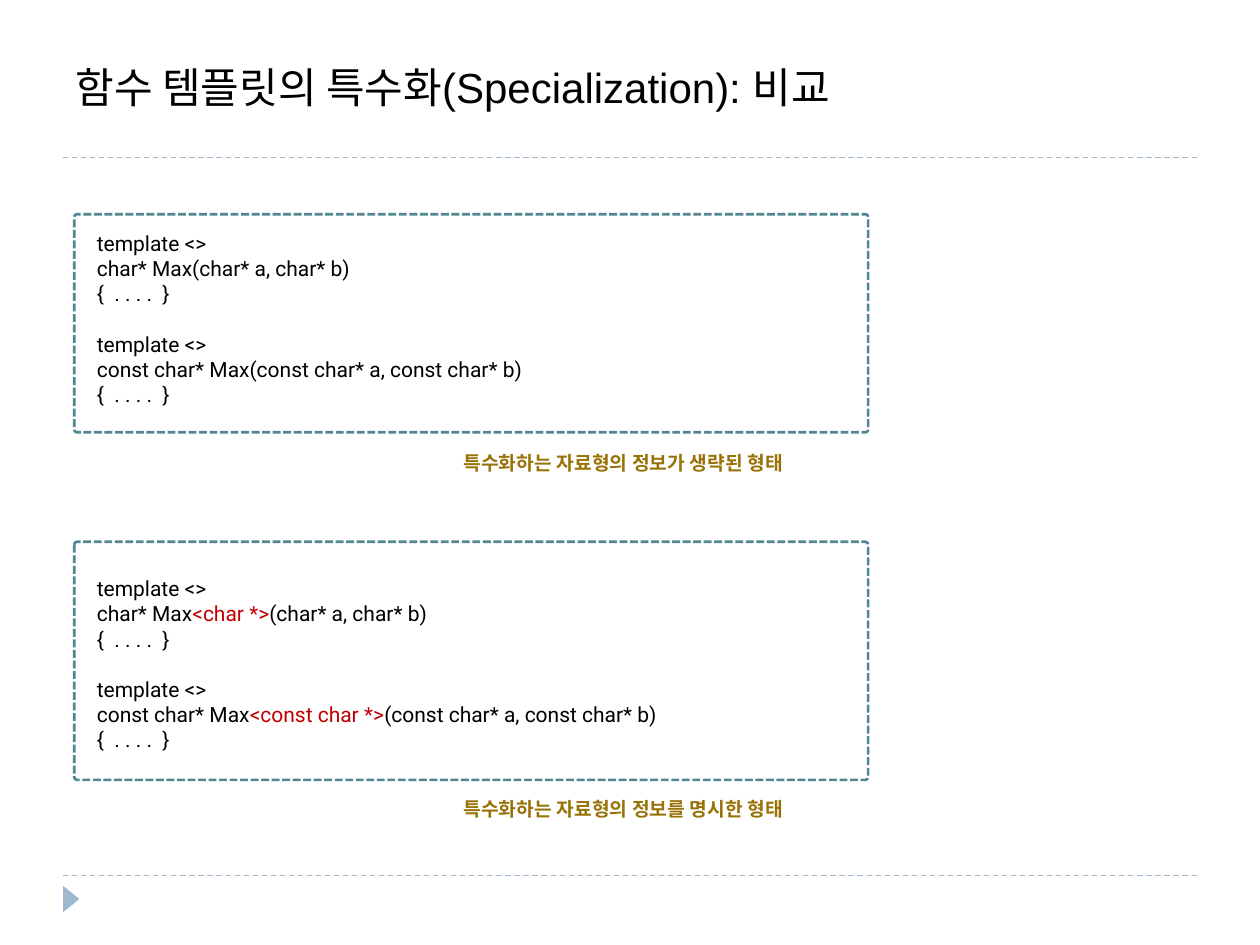
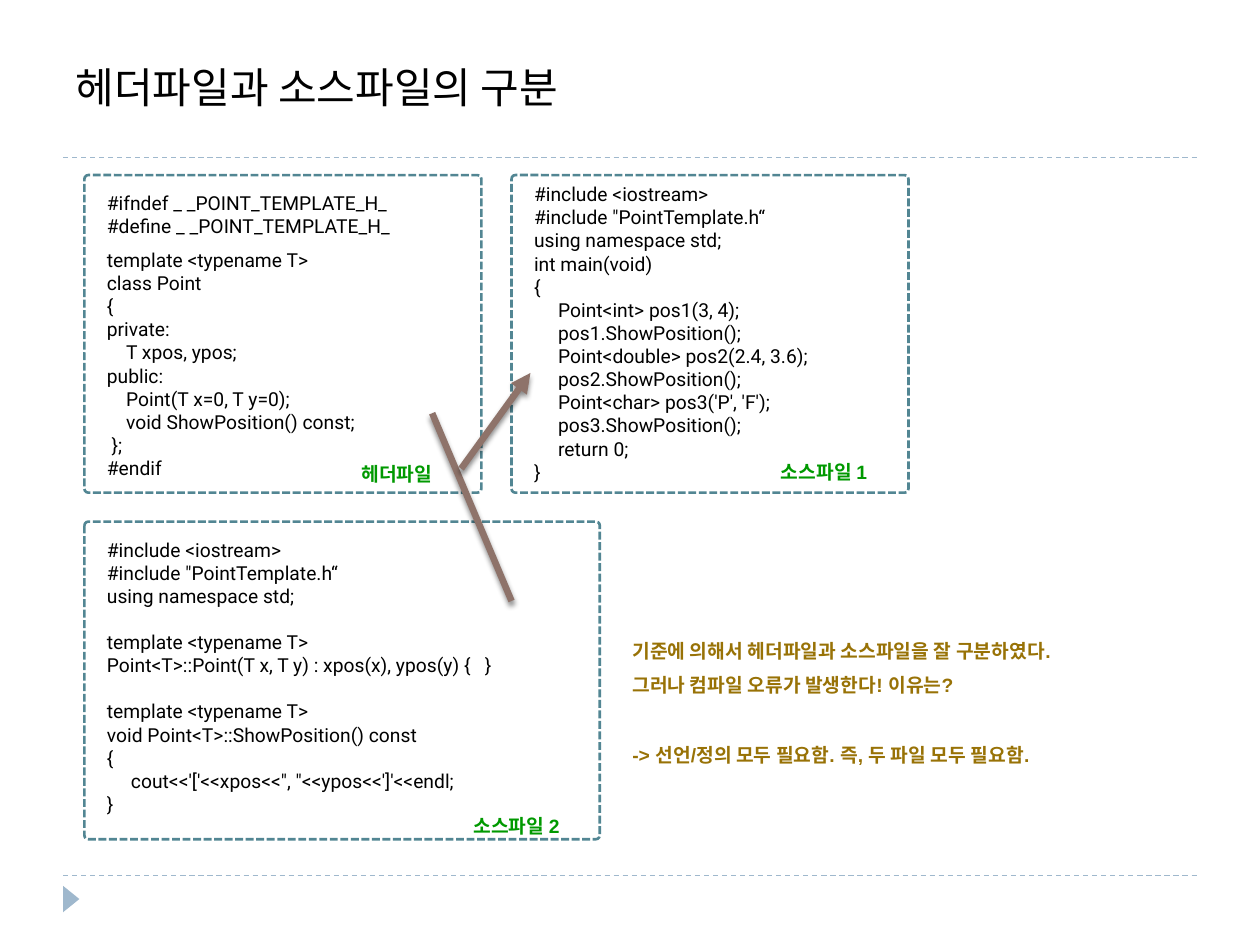
from dataclasses import dataclass

from lxml.etree import SubElement
from pptx import Presentation
from pptx.dml.color import RGBColor
from pptx.enum.dml import MSO_LINE
from pptx.enum.shapes import MSO_CONNECTOR, MSO_SHAPE
from pptx.enum.text import MSO_ANCHOR, MSO_AUTO_SIZE, PP_ALIGN
from pptx.oxml.ns import qn
from pptx.util import Inches, Pt


@dataclass(frozen=True)
class Theme:
    text: str = "000000"
    band: str = "9FB8CD"
    panel: str = "528693"
    accent: str = "C00000"
    caption: str = "987206"
    label: str = "009900"
    arrow: str = "8E736A"
    font: str = "Arial"
    code_font: str = "Roboto"
    title_size: int = 24
    code_size: int = 12
    small_size: int = 11


theme = Theme()
presentation = Presentation()
presentation.slide_width = Inches(10)
presentation.slide_height = Inches(7.5)


def share(*percents):
    """Turn alternating percentages of slide width and height into lengths."""
    sides = (presentation.slide_width, presentation.slide_height)
    return [int(sides[i % 2] * percent / 100) for i, percent in enumerate(percents)]


def write(shape, items, font, size, color, bold=False, spacing=1.0, align=PP_ALIGN.LEFT):
    """Strings become paragraphs, numbers a gap in points; |marks| an accent."""
    frame = shape.text_frame
    frame.word_wrap = True
    frame.auto_size = MSO_AUTO_SIZE.NONE
    paragraph, gap = frame.paragraphs[0], 0
    for index, item in enumerate(items):
        if not isinstance(item, str):
            gap = item
            continue
        if index:
            paragraph = frame.add_paragraph()
        paragraph.alignment = align
        paragraph.line_spacing = spacing
        paragraph.space_before = Pt(gap)
        gap = 0
        code = item.lstrip(" ")
        indent = Pt((len(item) - len(code)) * size * 0.25)
        properties = paragraph._p.get_or_add_pPr()
        properties.set("marL", str(indent))
        properties.set("indent", "0")
        for part, words in enumerate(code.split("|")):
            run = paragraph.add_run()
            run.text = words
            run.font.name = font
            run.font.size = Pt(size)
            run.font.bold = bold
            run.font.color.rgb = RGBColor.from_string(theme.accent if part % 2 else color)


# Shared layout: two dashed rules and the footer marker
layout = presentation.slide_layouts[5]
titles = ["함수 템플릿의 특수화(Specialization): 비교", "헤더파일과 소스파일의 구분"]
slides = [presentation.slides.add_slide(layout) for title in titles]
for height in (16.67, 92.67):
    rule = slides[0].shapes.add_connector(MSO_CONNECTOR.STRAIGHT, *share(5, height, 95, height))
    rule.line.color.rgb = RGBColor.from_string(theme.band)
    rule.line.width = Pt(0.75)
    rule.line.dash_style = MSO_LINE.DASH
    SubElement(rule._element.spPr, qn("a:effectLst"))
    layout.shapes.element.append(rule.element)
marker = slides[0].shapes.add_shape(MSO_SHAPE.ISOSCELES_TRIANGLE, *share(4.6, 94.27, 2.1, 1.73))
marker.rotation = 90
marker.shadow.inherit = False
marker.fill.solid()
marker.fill.fore_color.rgb = RGBColor.from_string(theme.band)
marker.line.fill.background()
layout.shapes.element.append(marker.element)

# Titles
for slide, title in zip(slides, titles):
    heading = slide.shapes.title
    heading.left, heading.top, heading.width, heading.height = share(5, 2.27, 90, 10.27)
    heading.text_frame.vertical_anchor = MSO_ANCHOR.BOTTOM
    write(heading, [title], theme.font, theme.title_size, theme.text)

# Code shown in the panels
short_form = [
    "template <>", "char* Max(char* a, char* b)", "{  . . . .  }", 14.4,
    "template <>", "const char* Max(const char* a, const char* b)", "{  . . . .  }",
]
explicit_form = [
    "template <>", "char* Max|<char *>|(char* a, char* b)", "{  . . . .  }", 14.4,
    "template <>", "const char* Max|<const char *>|(const char* a, const char* b)",
    "{  . . . .  }",
]
header_file = [
    "#ifndef _ _POINT_TEMPLATE_H_", "#define _ _POINT_TEMPLATE_H_", 6,
    "template <typename T>", "class Point", "{", "private:", "    T xpos, ypos;",
    "public:", "    Point(T x=0, T y=0);", "    void ShowPosition() const;", " };", "#endif",
]
includes = ["#include <iostream>", '#include "PointTemplate.h“', "using namespace std;"]
source_main = includes + [
    "int main(void)", "{",
    "     Point<int> pos1(3, 4);", "     pos1.ShowPosition();",
    "     Point<double> pos2(2.4, 3.6);", "     pos2.ShowPosition();",
    "     Point<char> pos3('P', 'F');", "     pos3.ShowPosition();",
    "     return 0;", "}",
]
source_members = includes + [
    13.2, "template <typename T>", "Point<T>::Point(T x, T y) : xpos(x), ypos(y) {   }",
    13.2, "template <typename T>", "void Point<T>::ShowPosition() const", "{",
    "     cout<<'['<<xpos<<\", \"<<ypos<<']'<<endl;", "}",
]

# Dashed panels: slide, code, size, left, top, width, height, drop to the code
panels = [
    (slides[0], short_form, theme.code_size, 5.9, 22.67, 63, 23.07, 1.07),
    (slides[0], explicit_form, theme.code_size, 5.9, 57.33, 63, 25.2, 2.93),
    (slides[1], header_file, theme.small_size, 6.7, 18.53, 31.5, 33.6, 1.07),
    (slides[1], source_members, theme.small_size, 6.7, 55.2, 40.9, 33.6, 1.07),
    (slides[1], source_main, theme.small_size, 40.6, 18.53, 31.5, 33.6, 0.13),
]
for slide, code, size, left, top, width, height, drop in panels:
    code_box = slide.shapes.add_textbox(
        *share(left + 0.8, top + drop, width - 0.8, height - drop))
    write(code_box, code, theme.code_font, size, theme.text)
    panel = slide.shapes.add_shape(
        MSO_SHAPE.ROUNDED_RECTANGLE, *share(left, top, width, height))
    panel.adjustments[0] = 0.012
    panel.shadow.inherit = False
    panel.fill.background()
    panel.line.color.rgb = RGBColor.from_string(theme.panel)
    panel.line.width = Pt(1.5)
    panel.line.dash_style = MSO_LINE.SQUARE_DOT

# Captions, file labels and the closing note
note = [
    "기준에 의해서 헤더파일과 소스파일을 잘 구분하였다. 그러나 컴파일 오류가 발생한다! 이유는?",
    20, "-> 선언/정의 모두 필요함. 즉, 두 파일 모두 필요함.",
]
remarks = [
    (slides[0], ["특수화하는 자료형의 정보가 생략된 형태"], (35.8, 45.87, 33.9, 4.53), False),
    (slides[0], ["특수화하는 자료형의 정보를 명시한 형태"], (35.8, 82.53, 33.9, 5.07), False),
    (slides[1], ["헤더파일"], (24.8, 47.07, 13.4, 5.07), True),
    (slides[1], ["소스파일 1"], (58.7, 46.8, 13.4, 4.53), True),
    (slides[1], ["소스파일 2"], (34.3, 84.27, 13.4, 4.53), True),
    (slides[1], note, (49.2, 65.73, 39.4, 16.13), False),
]
for slide, lines, box, is_label in remarks:
    remark = slide.shapes.add_textbox(*share(*box))
    write(remark, lines, theme.font, theme.small_size,
          theme.label if is_label else theme.caption, bold=True, spacing=1.5,
          align=PP_ALIGN.CENTER if is_label else PP_ALIGN.LEFT)

# Line joining header and members, and arrow to the main source
for ends, has_head in (((34.3, 43.73, 40.6, 63.6), False), ((36.6, 49.6, 42.1, 39.47), True)):
    link = slides[1].shapes.add_connector(MSO_CONNECTOR.STRAIGHT, *share(*ends))
    link.line.color.rgb = RGBColor.from_string(theme.arrow)
    link.line.width = Pt(3.75)
    if has_head:
        SubElement(link.line._get_or_add_ln(), qn("a:tailEnd"), type="triangle")
    effects = SubElement(link._element.spPr, qn("a:effectLst"))
    shadow = SubElement(effects, qn("a:outerShdw"), blurRad=str(Pt(3)),
                        dist=str(Pt(2.4)), dir="5400000", rotWithShape="0")
    shadow_color = SubElement(shadow, qn("a:srgbClr"), val=theme.text)
    SubElement(shadow_color, qn("a:alpha"), val="45000")

presentation.save("out.pptx")
